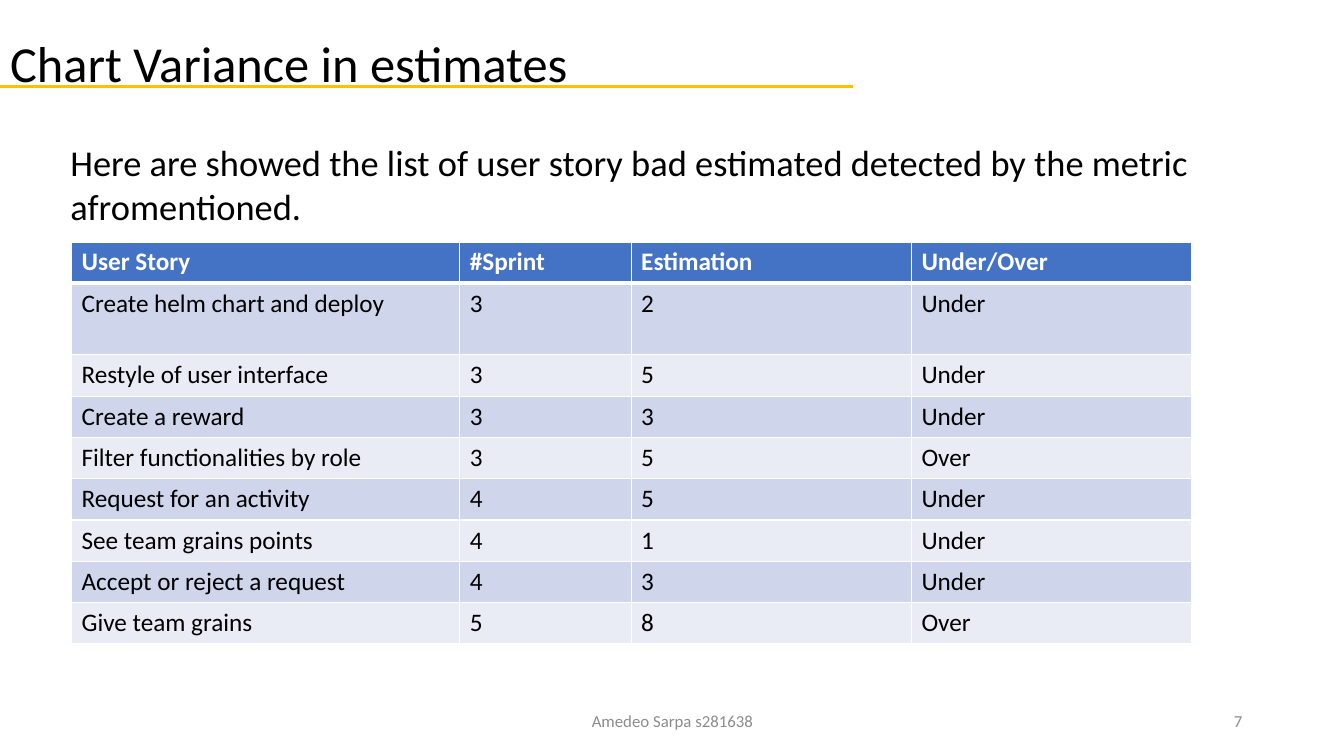
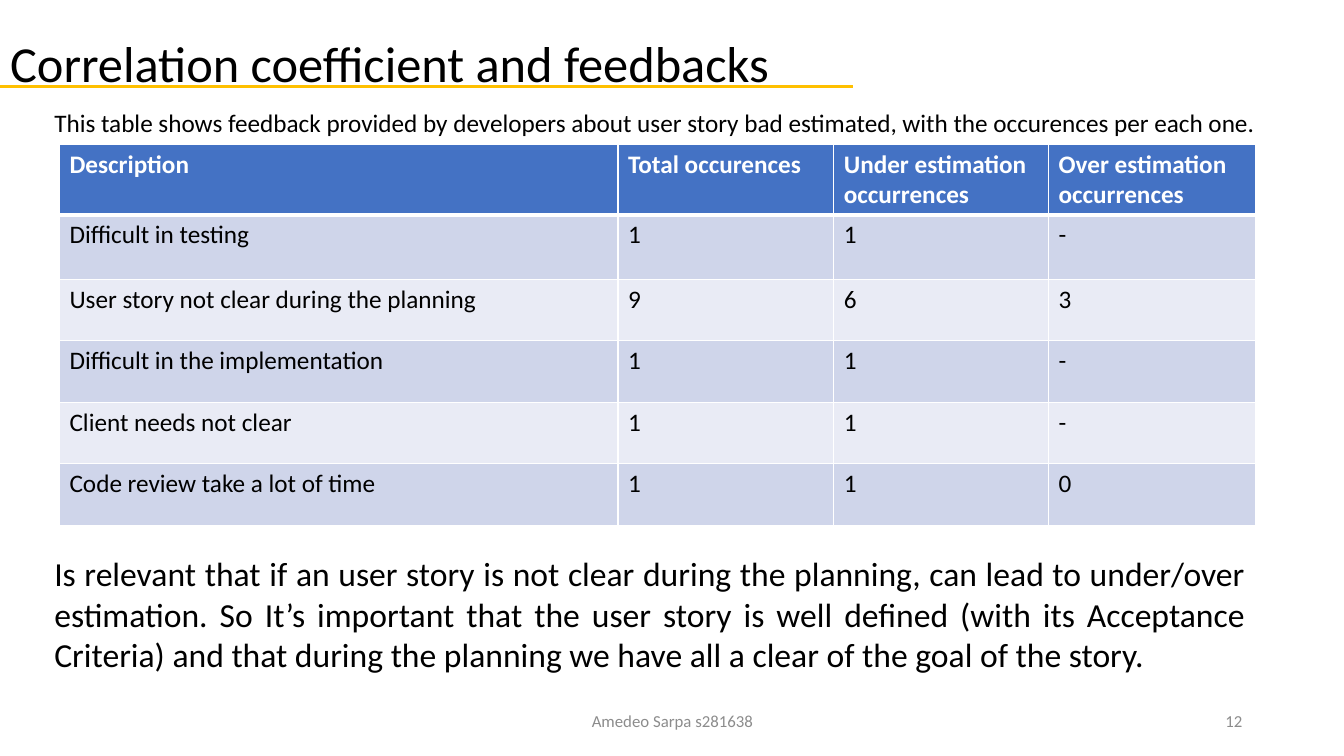
from dataclasses import dataclass

from lxml.etree import SubElement
from pptx import Presentation
from pptx.dml.color import RGBColor
from pptx.enum.shapes import MSO_CONNECTOR
from pptx.enum.text import MSO_ANCHOR, PP_ALIGN
from pptx.oxml.ns import qn
from pptx.slide import Slide
from pptx.table import _Cell
from pptx.text.text import TextFrame
from pptx.util import Inches, Pt

FONT = "Calibri"
BLACK, WHITE, GREY = "000000", "FFFFFF", "8C8C8C"
GOLD, HEADER_BLUE = "FFC000", "4472C4"
BANDS = ("CFD5EA", "E9EBF5")
AUTHOR = "Amedeo Sarpa s281638"
TITLE_ONLY = 5


@dataclass
class TextBlock:
    """A text with its place, in inches, and its style."""
    text: str
    left: float
    top: float
    width: float
    height: float
    size: int
    color: str = BLACK
    align: PP_ALIGN = PP_ALIGN.LEFT
    anchor: MSO_ANCHOR = MSO_ANCHOR.TOP


@dataclass
class Grid:
    """A banded table; the first row is the header."""
    left: float
    top: float
    widths: list[float]
    heights: list[float]
    rows: list[tuple[str, ...]]


@dataclass
class Content:
    """All that differs from one slide to the next."""
    title: str
    number: str
    texts: list[TextBlock]
    grid: Grid


def rgb(color: str) -> RGBColor:
    """Turn a hex string into a colour."""
    return RGBColor.from_string(color)


def write(frame: TextFrame, text: str, size: int, color: str,
          bold: bool = False, align: PP_ALIGN = PP_ALIGN.LEFT) -> None:
    """Put one styled paragraph in a text frame."""
    frame.text = text
    para = frame.paragraphs[0]
    para.alignment = align
    font = para.font
    font.name, font.size, font.bold = FONT, Pt(size), bold
    font.color.rgb = rgb(color)


def fill_block(shape, block: TextBlock) -> None:
    """Place a box or placeholder and write its text."""
    shape.left, shape.top = Inches(block.left), Inches(block.top)
    shape.width, shape.height = Inches(block.width), Inches(block.height)
    frame = shape.text_frame
    frame.word_wrap = True
    frame.vertical_anchor = block.anchor
    write(frame, block.text, block.size, block.color, align=block.align)


def add_text(page: Slide, block: TextBlock) -> None:
    """Add a text box."""
    fill_block(page.shapes.add_textbox(0, 0, 0, 0), block)


def add_rule(page: Slide) -> None:
    """Draw the gold line below the title."""
    rule = page.shapes.add_connector(
        MSO_CONNECTOR.STRAIGHT, 0, Inches(0.86), Inches(8.46), Inches(0.86))
    rule.line.color.rgb = rgb(GOLD)
    rule.line.width = Pt(2.5)
    SubElement(rule._element.spPr, qn("a:effectLst"))


def set_borders(cell: _Cell, top: float, bottom: float) -> None:
    """Give a cell white borders; widths are in points."""
    properties = cell._tc.get_or_add_tcPr()
    for side, width in (("L", 1), ("R", 1), ("T", top), ("B", bottom)):
        line = SubElement(properties, qn(f"a:ln{side}"), w=str(Pt(width)))
        fill = SubElement(line, qn("a:solidFill"))
        SubElement(fill, qn("a:srgbClr"), val=WHITE)


def add_grid(page: Slide, grid: Grid) -> None:
    """Add a table with a blue header and banded rows."""
    table = page.shapes.add_table(
        len(grid.rows), len(grid.widths), Inches(grid.left), Inches(grid.top),
        Inches(sum(grid.widths)), Inches(sum(grid.heights))).table
    for column, width in zip(table.columns, grid.widths):
        column.width = Inches(width)
    for index, values in enumerate(grid.rows):
        table.rows[index].height = Inches(grid.heights[index])
        header = index == 0
        band = HEADER_BLUE if header else BANDS[(index - 1) % 2]
        for cell, value in zip(table.rows[index].cells, values):
            set_borders(cell, 3 if index == 1 else 1, 3 if header else 1)
            cell.fill.solid()
            cell.fill.fore_color.rgb = rgb(band)
            write(cell.text_frame, value, 18, WHITE if header else BLACK, header)


def add_page(deck, content: Content) -> None:
    """Build one slide with its shared title, rule and footer."""
    page = deck.slides.add_slide(deck.slide_layouts[TITLE_ONLY])
    fill_block(page.shapes.title,
               TextBlock(content.title, 0, 0.27, 8.46, 0.71, 36))
    add_rule(page)
    add_text(page, TextBlock(AUTHOR, 4.42, 6.95, 4.5, 0.4, 12, GREY,
                             PP_ALIGN.CENTER, MSO_ANCHOR.MIDDLE))
    add_text(page, TextBlock(content.number, 9.42, 6.95, 3, 0.4, 12, GREY,
                             PP_ALIGN.RIGHT, MSO_ANCHOR.MIDDLE))
    add_grid(page, content.grid)
    for block in content.texts:
        add_text(page, block)


VARIANCE = Content(
    "Chart Variance in estimates", "7",
    [TextBlock("Here are showed the list of user story bad estimated detected "
               "by the metric afromentioned.", 0.6, 1.34, 12.01, 0.98, 26)],
    Grid(0.71, 2.4, [3.85, 1.7, 2.78, 2.78], [0.41, 0.71] + [0.41] * 7, [
        ("User Story", "#Sprint", "Estimation", "Under/Over"),
        ("Create helm chart and deploy", "3", "2", "Under"),
        ("Restyle of user interface", "3", "5", "Under"),
        ("Create a reward", "3", "3", "Under"),
        ("Filter functionalities by role", "3", "5", "Over"),
        ("Request for an activity", "4", "5", "Under"),
        ("See team grains points", "4", "1", "Under"),
        ("Accept or reject a request", "4", "3", "Under"),
        ("Give team grains", "5", "8", "Over"),
    ]))

FEEDBACK = Content(
    "Correlation coefficient and feedbacks", "12",
    [TextBlock("This table shows feedback provided by developers about user "
               "story bad estimated, with the occurences per each one.",
               0.44, 1.02, 12.67, 0.4, 18),
     TextBlock("Is relevant that if an user story is not clear during the "
               "planning, can lead to under/over estimation. So It’s important "
               "that the user story is well defined (with its Acceptance "
               "Criteria) and that during the planning we have all a clear of "
               "the goal of the story.",
               0.44, 5.44, 12.01, 1.4, 24, align=PP_ALIGN.JUSTIFY)],
    Grid(0.59, 1.43, [5.54, 2.14, 2.13, 2.05], [0.66, 0.64] + [0.61] * 4, [
        ("Description", "Total occurences", "Under estimation occurrences",
         "Over estimation occurrences"),
        ("Difficult in testing", "1", "1", "-"),
        ("User story not clear during the planning", "9", "6", "3"),
        ("Difficult in the implementation", "1", "1", "-"),
        ("Client needs not clear", "1", "1", "-"),
        ("Code review take a lot of time", "1", "1", "0"),
    ]))


def main() -> None:
    """Build and save the deck."""
    deck = Presentation()
    deck.slide_width, deck.slide_height = Inches(13.33), Inches(7.5)
    for content in (VARIANCE, FEEDBACK):
        add_page(deck, content)
    deck.save("out.pptx")


main()
